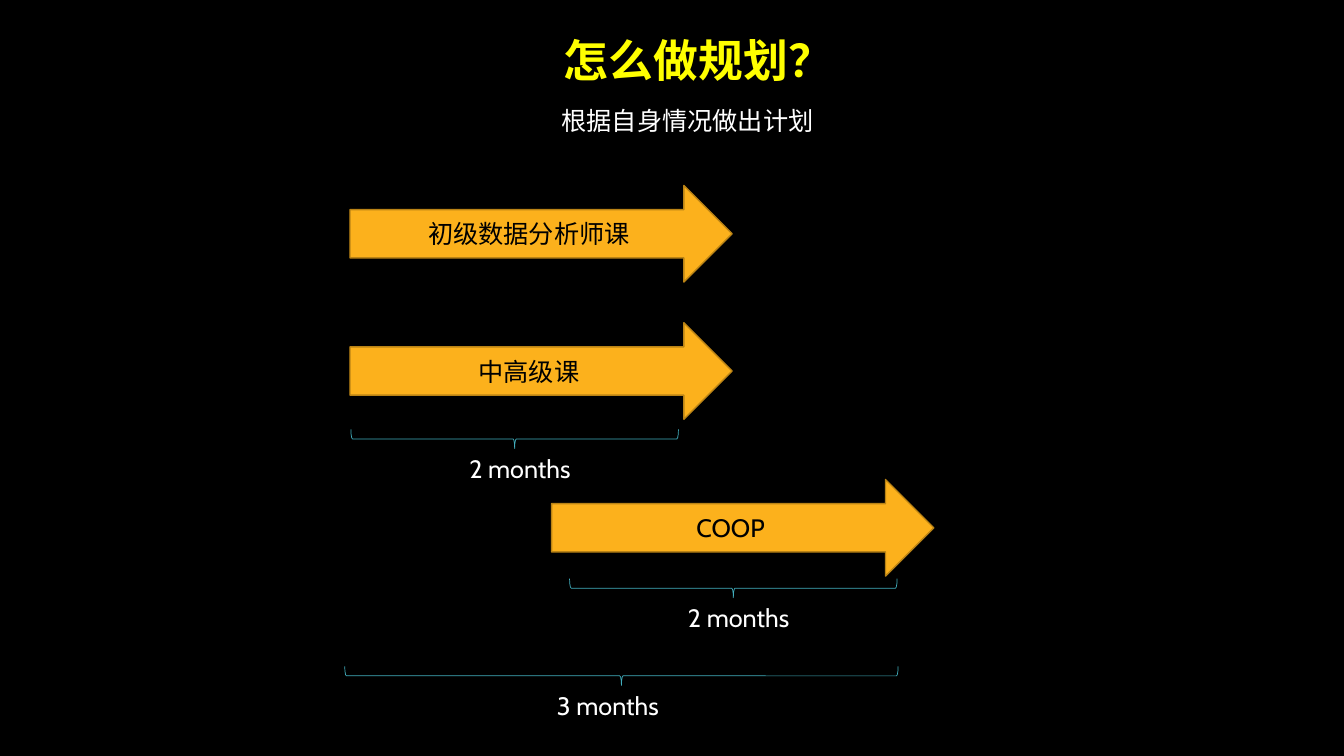
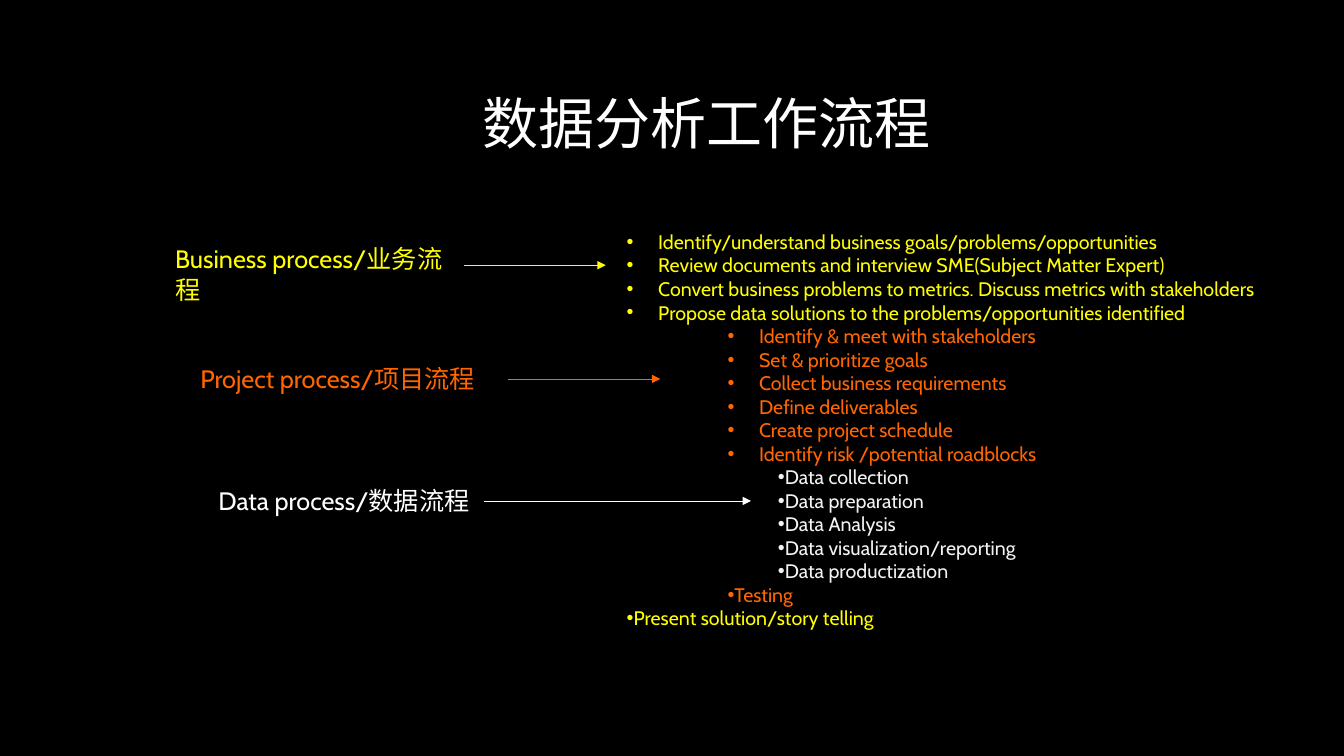
from lxml.etree import SubElement
from pptx import Presentation
from pptx.dml.color import RGBColor
from pptx.enum.shapes import MSO_CONNECTOR as Connector, MSO_SHAPE as Preset
from pptx.enum.text import MSO_ANCHOR as Anchor, MSO_AUTO_SIZE as AutoSize, PP_ALIGN as Align
from pptx.oxml.ns import qn
from pptx.util import Pt

# Theme
THEME = {
    "font": "Cabin",
    "colors": {
        "back": "000000", "white": "FFFFFF", "pale": "F2F2F2",
        "yellow": "FFFF00", "orange": "FF6600",
        "arrow": "FCB11C", "arrow_edge": "BA8315", "brace": "41AEBD",
    },
    "sizes": {"headline": 40, "title": 32, "body": 18, "list": 14},
    "lines": {"arrow": 1, "thin": 0.5},
}

# Plan slide content: positions are left, top
PLAN_TITLE = ("怎么做规划？", (237, 20, 524, 46))
PLAN_SUBTITLE = ("根据自身情况做出计划", (394, 72, 212, 29))
COURSES = [
    ("初级数据分析师课", 250, 132.5),
    ("中高级课", 250, 230.5),
    ("COOP", 394, 342.5),
]
COURSE_SIZE = (273, 69)
# text, left, top, span, label width, label alignment
DURATIONS = [
    ("2 months", 250.6, 306.7, 234, 131, Align.LEFT),
    ("2 months", 406.8, 413.3, 234, 131, Align.LEFT),
    ("3 months", 246.2, 475.9, 395.3, 221, Align.CENTER),
]
BRACE_DEPTH = 13.7
LABEL_OFFSET = 77.5

# Workflow slide content
FLOW_TITLE = ("数据分析工作流程", (273, 60, 463, 55.4))
# text, colour, label left, top, width, arrow start, end, height
PROCESSES = [
    ("Business process/业务流程", "yellow", (118, 170.6, 222), (331.2, 432.7, 189.4)),
    ("Project process/项目流程", "orange", (136, 256.3, 222), (362.9, 471.6, 270.7)),
    ("Data process/数据流程", "white", (149, 343.4, 196.6), (345.6, 536.4, 357.8)),
]
LABEL_HEIGHT = 29
STEPS_BOX = (440.6, 160.6, 481, 284.4)
# colour, left margin, hanging indent, steps
STEP_GROUPS = [
    ("yellow", 22.5, 22.5, [
        "Identify/understand business goals/problems/opportunities",
        "Review documents and interview SME(Subject Matter Expert)",
        "Convert business problems to metrics. Discuss metrics with stakeholders",
        "Propose data solutions to the problems/opportunities identified",
    ]),
    ("orange", 94.5, 22.5, [
        "Identify & meet with stakeholders",
        "Set & prioritize goals",
        "Collect business requirements",
        "Define deliverables",
        "Create project schedule",
        "Identify risk /potential roadblocks",
    ]),
    ("pale", 108, 0, [
        "Data collection",
        "Data preparation",
        "Data Analysis",
        "Data visualization/reporting",
        "Data productization",
    ]),
    ("orange", 72, 0, ["Testing"]),
    ("yellow", 0, 0, ["Present solution/story telling"]),
]


# Shared helpers
def color(name):
    return RGBColor.from_string(THEME["colors"][name])


def points(values):
    return [Pt(value) for value in values]


def apply(target, values):
    for name, value in values.items():
        setattr(target, name, value)


def write(para, text, size, tint, bold=False):
    span = para.add_run()
    span.text = text
    apply(span.font, {"name": THEME["font"], "size": Pt(THEME["sizes"][size]), "bold": bold})
    span.font.color.rgb = color(tint)


def draw_line(line, tint, weight):
    line.color.rgb = color(tint)
    line.width = Pt(THEME["lines"][weight])


def add_page(deck):
    page = deck.slides.add_slide(deck.slide_layouts[6])
    page.background.fill.solid()
    page.background.fill.fore_color.rgb = color("back")
    return page


def add_text(page, text, area, size="body", tint="white", align=Align.LEFT, bold=False):
    box = page.shapes.add_textbox(*points(area))
    apply(box.text_frame, {"word_wrap": True, "auto_size": AutoSize.SHAPE_TO_FIT_TEXT})
    para = box.text_frame.paragraphs[0]
    para.alignment = align
    write(para, text, size, tint, bold)


# Plan slide parts
def add_course(page, text, left, top):
    arrow = page.shapes.add_shape(Preset.RIGHT_ARROW, *points((left, top, *COURSE_SIZE)))
    arrow.shadow.inherit = False
    arrow.fill.solid()
    arrow.fill.fore_color.rgb = color("arrow")
    draw_line(arrow.line, "arrow_edge", "arrow")
    apply(arrow.text_frame, {"word_wrap": True, "vertical_anchor": Anchor.MIDDLE})
    para = arrow.text_frame.paragraphs[0]
    para.alignment = Align.CENTER
    write(para, text, "body", "back")


def add_duration(page, text, left, top, span, width, align):
    # The upright brace turns about its centre to lie flat
    shift = (span - BRACE_DEPTH) / 2
    area = (left + shift, top - shift, BRACE_DEPTH, span)
    brace = page.shapes.add_shape(Preset.RIGHT_BRACE, *points(area))
    brace.rotation = 90
    brace.shadow.inherit = False
    brace.fill.background()
    draw_line(brace.line, "brace", "thin")
    add_text(page, text, (left + LABEL_OFFSET, top + BRACE_DEPTH, width, LABEL_HEIGHT), align=align)


# Workflow slide parts
def add_pointer(page, start, end, height, tint):
    pointer = page.shapes.add_connector(Connector.STRAIGHT, *points((start, height, end, height)))
    draw_line(pointer.line, tint, "thin")
    SubElement(pointer.line._get_or_add_ln(), qn("a:tailEnd"), type="triangle")
    SubElement(pointer._element.spPr, qn("a:effectLst"))


def add_bullet(para, margin, hanging):
    props = para._p.get_or_add_pPr()
    props.set("marL", str(Pt(margin)))
    props.set("indent", str(-Pt(hanging)))
    SubElement(props, qn("a:buFont"), typeface="Arial")
    SubElement(props, qn("a:buChar"), char="•")


def add_steps(page):
    frame = page.shapes.add_textbox(*points(STEPS_BOX)).text_frame
    frame.word_wrap = True
    para = frame.paragraphs[0]
    for tint, margin, hanging, steps in STEP_GROUPS:
        for step in steps:
            if para.runs:
                para = frame.add_paragraph()
            add_bullet(para, margin, hanging)
            write(para, step, "list", tint)


# Slides
def build_plan(deck):
    page = add_page(deck)
    add_text(page, *PLAN_TITLE, "title", "yellow", Align.CENTER, bold=True)
    add_text(page, *PLAN_SUBTITLE)
    for course in COURSES:
        add_course(page, *course)
    for duration in DURATIONS:
        add_duration(page, *duration)


def build_workflow(deck):
    page = add_page(deck)
    add_text(page, *FLOW_TITLE, "headline", align=Align.CENTER)
    add_steps(page)
    for text, tint, label, pointer in PROCESSES:
        add_text(page, text, (*label, LABEL_HEIGHT), tint=tint)
        add_pointer(page, *pointer, tint)


def main():
    deck = Presentation()
    apply(deck, {"slide_width": Pt(960), "slide_height": Pt(540)})
    build_plan(deck)
    build_workflow(deck)
    deck.save("out.pptx")


if __name__ == "__main__":
    main()
